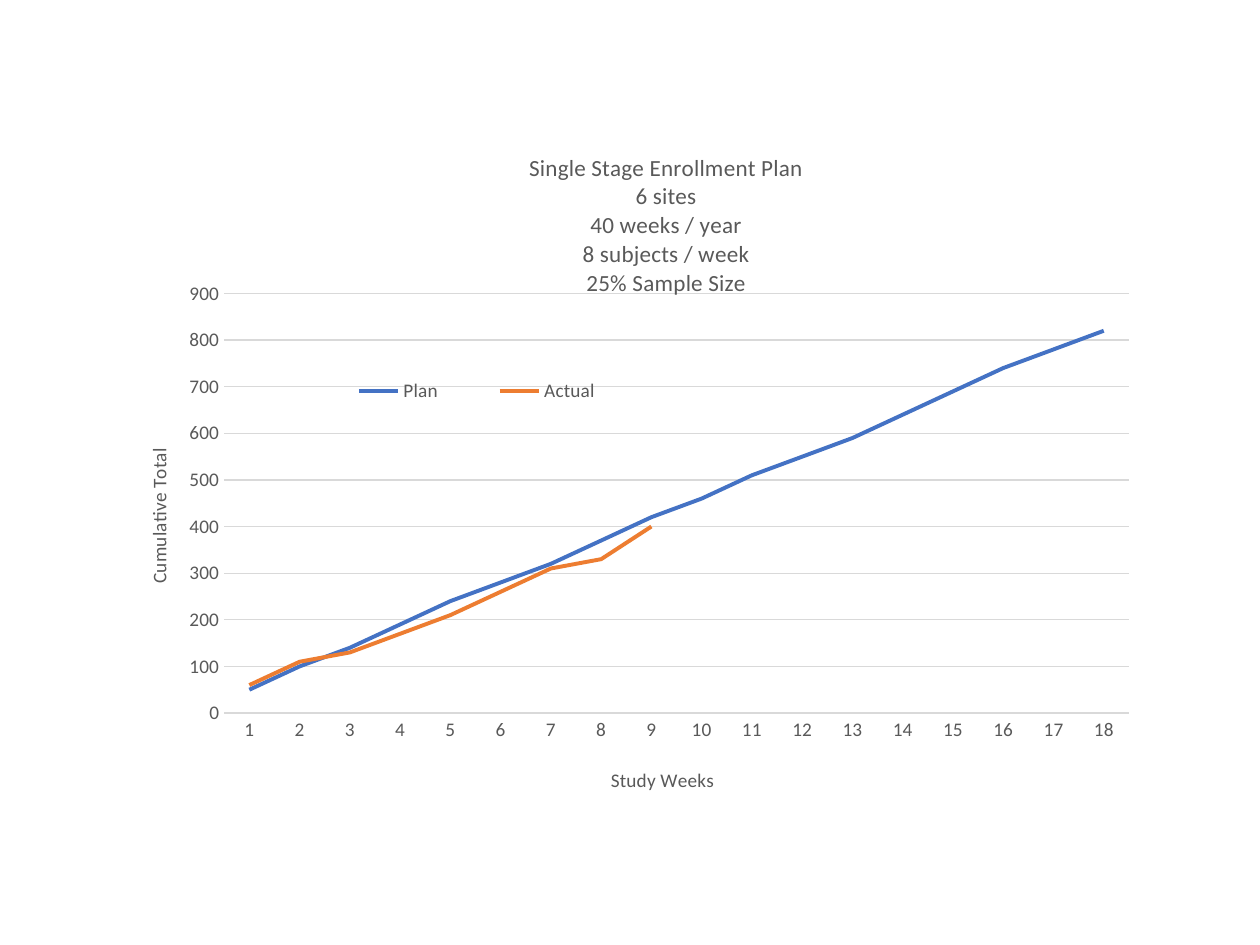
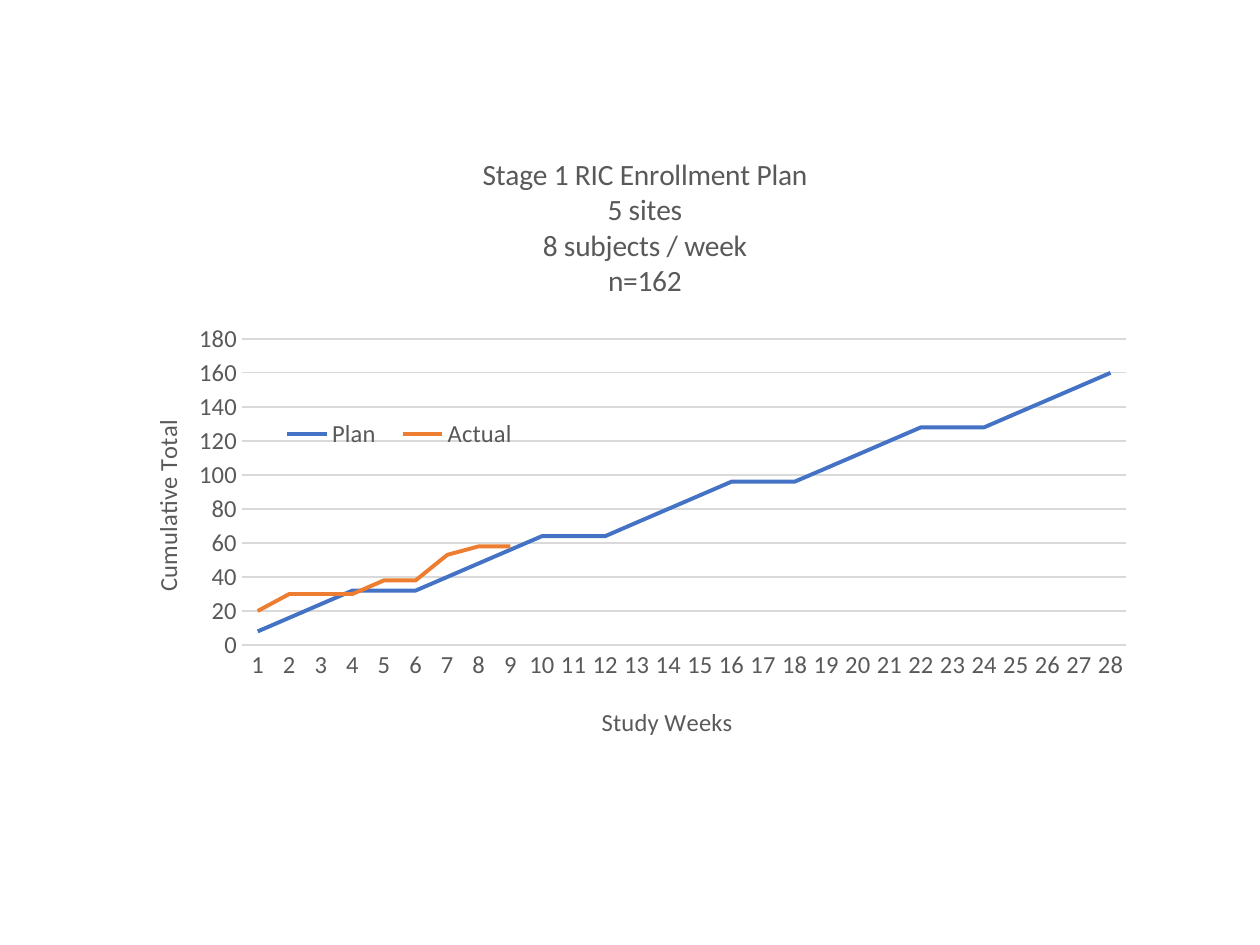
from lxml import etree
from pptx import Presentation
from pptx import util as u
from pptx.chart.data import CategoryChartData
from pptx.dml.color import RGBColor
from pptx.enum import chart as ch
from pptx.oxml.ns import qn

FONT = "Calibri"
TEXT, GRID = "595959", "D9D9D9"
SERIES_COLORS = {"Plan": "4472C4", "Actual": "ED7D31"}
TITLE_SCALE = 1.2


def color(hex_string):
    return RGBColor.from_string(hex_string)


def style_font(font, size):
    font.name, font.size, font.bold = FONT, u.Pt(size), False
    font.color.rgb = color(TEXT)


def style_line(line, hex_string, width):
    line.color.rgb = color(hex_string)
    line.width = u.Pt(width)


def place(element, box, spot, after=None):
    """Fix a chart part at spot (slide inches: left, top[, width, height])."""
    for old in element.findall(qn("c:layout")):
        element.remove(old)
    layout = etree.Element(qn("c:layout"))
    manual = etree.SubElement(layout, qn("c:manualLayout"))

    def add(tag, value):
        etree.SubElement(manual, qn("c:" + tag)).set("val", str(value))

    if element.tag == qn("c:plotArea"):
        add("layoutTarget", "inner")
    add("xMode", "edge")
    add("yMode", "edge")
    left, top, width, height = box
    fractions = [(spot[0] - left) / width, (spot[1] - top) / height]
    if len(spot) == 4:
        fractions += [spot[2] / width, spot[3] / height]
    for tag, fraction in zip("xywh", fractions):
        add(tag, round(fraction, 4))
    position = 0 if after is None else element.index(element.find(qn(after))) + 1
    element.insert(position, layout)


def write_title(title, lines, size, box, spot, rotation=None):
    frame = title.text_frame
    for number, line in enumerate(lines):
        paragraph = frame.paragraphs[0] if number == 0 else frame.add_paragraph()
        run = paragraph.add_run()
        run.text = line
        style_font(run.font, size)
    if rotation is not None:
        body = title._element.find(".//" + qn("a:bodyPr"))
        body.set("rot", str(rotation * 60000))
        body.set("vert", "horz")
    place(title._element, box, spot, after="c:tx")


def style_axis(axis, size):
    axis.major_tick_mark = axis.minor_tick_mark = ch.XL_TICK_MARK.NONE
    style_font(axis.tick_labels.font, size)


def add_enrollment_chart(slide, box, title, series, size, top_value, step, spots):
    # Data and frame
    data = CategoryChartData()
    data.categories = [str(week + 1) for week in range(len(series["Plan"]))]
    for name, values in series.items():
        data.add_series(name, values + [None] * (len(series["Plan"]) - len(values)))
    chart = slide.shapes.add_chart(ch.XL_CHART_TYPE.LINE,
                                   *map(u.Inches, box), data).chart
    chart.font.name, chart.font.size = FONT, u.Pt(size)

    # Lines
    plot = chart.plots[0]
    plot.vary_by_categories = False
    for line in plot.series:
        line.smooth = False
        style_line(line.format.line, SERIES_COLORS[line.name], 2.25)

    # Axes
    weeks, total = chart.category_axis, chart.value_axis
    for axis in (weeks, total):
        style_axis(axis, size)
    style_line(weeks.format.line, GRID, 0.75)
    total.format.line.fill.background()
    total.has_major_gridlines = True
    style_line(total.major_gridlines.format.line, GRID, 0.75)
    total.minimum_scale, total.maximum_scale, total.major_unit = 0, top_value, step

    # Titles
    chart.has_title = True
    write_title(chart.chart_title, title, size * TITLE_SCALE, box, spots["title"])
    write_title(weeks.axis_title, ["Study Weeks"], size, box, spots["weeks"])
    write_title(total.axis_title, ["Cumulative Total"], size, box,
                spots["total"], rotation=-90)

    # Legend and plot area
    chart.has_legend = True
    legend = chart.legend
    legend.position = ch.XL_LEGEND_POSITION.BOTTOM
    legend.include_in_layout = True
    style_font(legend.font, size)
    place(legend._element, box, spots["legend"], after="c:legendPos")
    place(chart._chartSpace.chart.plotArea, box, spots["plot"])


presentation = Presentation()
presentation.slide_width, presentation.slide_height = u.Inches(10), u.Inches(7.5)

CHARTS = [
    dict(box=(0.88, 0.7, 8.24, 6.1), size=11, top_value=900, step=100,
         title=["Single Stage Enrollment Plan", "6 sites", "40 weeks / year",
                "8 subjects / week", "25% Sample Size"],
         series={"Plan": [50, 100, 140, 190, 240, 280, 320, 370, 420, 460, 510,
                          550, 590, 640, 690, 740, 780, 820],
                 "Actual": [60, 110, 130, 170, 210, 260, 310, 330, 400]},
         spots=dict(title=(4.17, 1.17), weeks=(4.82, 6.06), total=(1.13, 3.53),
                    legend=(2.41, 2.95, 2.75, 0.3), plot=(1.78, 2.33, 7.18, 3.33))),
    dict(box=(0.89, 1.08, 8.22, 5.34), size=14, top_value=180, step=20,
         title=["Stage 1 RIC Enrollment Plan", "5 sites", "8 subjects / week",
                "n=162"],
         series={"Plan": [8, 16, 24, 32, 32, 32, 40, 48, 56, 64, 64, 64, 72, 80,
                          88, 96, 96, 96, 104, 112, 120, 128, 128, 128, 136, 144,
                          152, 160],
                 "Actual": [20, 30, 30, 30, 38, 38, 53, 58, 58]},
         spots=dict(title=(3.8, 1.2), weeks=(4.74, 5.56), total=(1.16, 3.3),
                    legend=(2.13, 3.27, 2.08, 0.35), plot=(1.92, 2.69, 7.02, 2.43))),
]

for settings in CHARTS:
    slide = presentation.slides.add_slide(presentation.slide_layouts[6])
    add_enrollment_chart(slide, **settings)

presentation.save("out.pptx")
